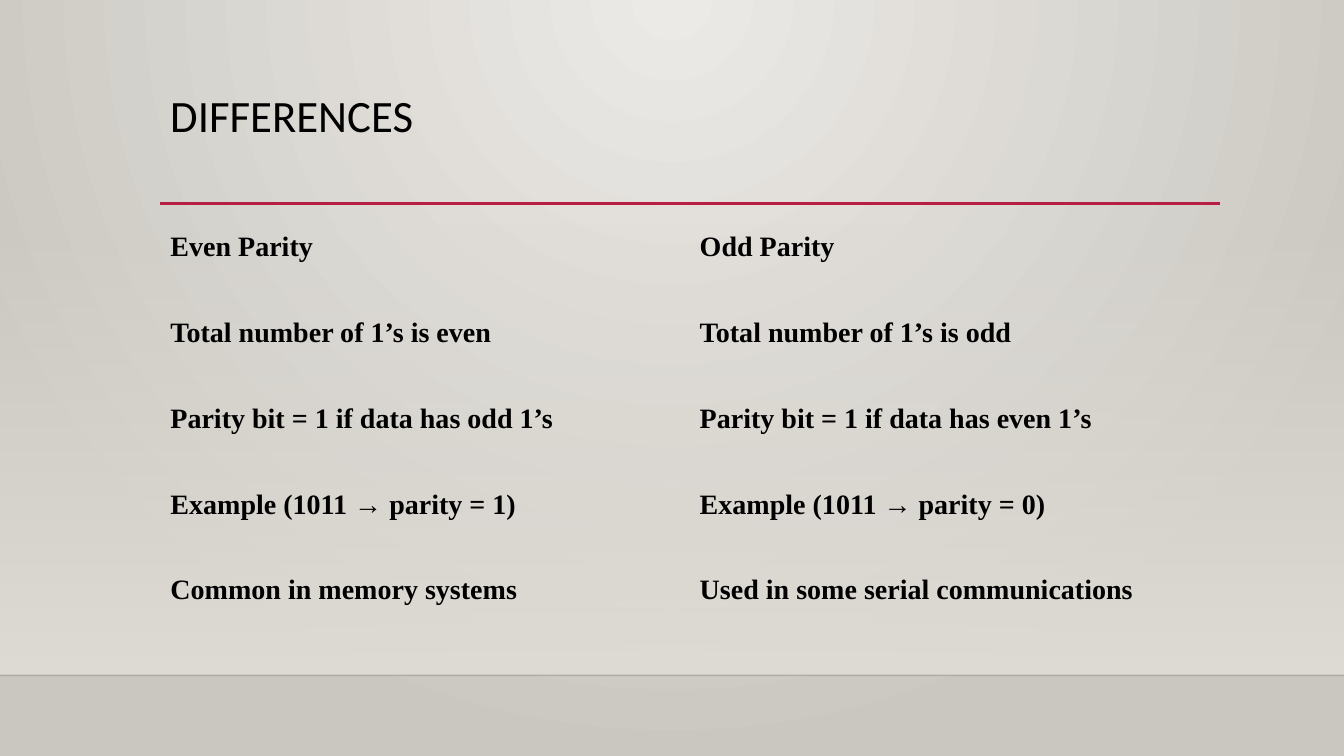
"""Build the slide that compares even and odd parity."""
from lxml import etree
from pptx import Presentation
from pptx import util as u
from pptx.dml.color import RGBColor
from pptx.enum import shapes, text
from pptx.oxml.ns import qn

HUES = {"ink": "000000", "edge": "000001", "rule": "B71E42",
        "light": "ECEAE7", "dark": "CAC7C1", "wall": "DFDBD5"}
PLAIN = "{2D5ABB26-0587-4C30-8999-92F81FD0307C}"
ROWS = [
    ("Even Parity", "Odd Parity"),
    ("Total number of 1’s is even", "Total number of 1’s is odd"),
    ("Parity bit = 1 if data has odd 1’s", "Parity bit = 1 if data has even 1’s"),
    ("Example (1011 → parity = 1)", "Example (1011 → parity = 0)"),
    ("Common in memory systems", "Used in some serial communications"),
]


def write(frame, words, font, size, bold=False, space=None):
    para = frame.paragraphs[0]
    para.line_spacing = space
    run = para.add_run()
    run.text = words
    run.font.name = font
    run.font.size = u.Pt(size)
    run.font.bold = bold
    run.font.color.rgb = RGBColor.from_string(HUES["ink"])


def blend(fill, first, last):
    fill.gradient()
    for stop, hue, spot in zip(fill.gradient_stops, (first, last), (0, 1)):
        stop.color.rgb = RGBColor.from_string(HUES[hue])
        stop.position = spot


deck = Presentation()
deck.slide_width, deck.slide_height = u.Inches(13.33), u.Inches(7.5)
slide = deck.slides.add_slide(deck.slide_layouts[6])

blend(slide.background.fill, "light", "dark")
grad = next(slide._element.iter(qn("a:gradFill")))
for lin in grad.findall(qn("a:lin")):
    grad.remove(lin)
ring = etree.SubElement(grad, qn("a:path"), path="circle")
etree.SubElement(ring, qn("a:fillToRect"), l="43000", t="0", r="43000", b="100000")

wall = slide.shapes.add_shape(shapes.MSO_SHAPE.RECTANGLE, 0, u.Inches(2.21),
                              u.Inches(13.33), u.Inches(4.49))
wall.shadow.inherit = False
wall.line.fill.background()
blend(wall.fill, "wall", "wall")
wall.fill.gradient_angle = 270
clear = next(wall._element.iter(qn("a:srgbClr")))
etree.SubElement(clear, qn("a:alpha"), val="0")

for left, right, top, hue, width, alpha in [(0, 13.33, 6.7, "edge", 1, 20),
                                            (1.59, 12.1, 2.02, "rule", 2.5, 100)]:
    line = slide.shapes.add_connector(shapes.MSO_CONNECTOR.STRAIGHT, u.Inches(left),
                                      u.Inches(top), u.Inches(right), u.Inches(top))
    line.line.width = u.Pt(width)
    line.line.color.rgb = RGBColor.from_string(HUES[hue])
    tint = next(line._element.iter(qn("a:srgbClr")))
    etree.SubElement(tint, qn("a:alpha"), val=str(alpha * 1000))
    etree.SubElement(line._element.spPr, qn("a:effectLst"))

title = slide.shapes.add_textbox(u.Inches(1.59), u.Inches(0.88),
                                 u.Inches(10.5), u.Inches(1.15)).text_frame
title.word_wrap = True
title.vertical_anchor = text.MSO_ANCHOR.TOP
write(title, "DIFFERENCES", font="Calibri", size=32, space=0.9)

grid = slide.shapes.add_table(len(ROWS), 2, u.Inches(1.59), u.Inches(2.03),
                              u.Inches(10.5), u.Inches(4.25)).table
grid.first_row = grid.horz_banding = False
next(grid._tbl.iter(qn("a:tableStyleId"))).text = PLAIN
for r, row in enumerate(ROWS):
    for c, words in enumerate(row):
        cell = grid.cell(r, c)
        cell.fill.background()
        cell.vertical_anchor = text.MSO_ANCHOR.MIDDLE
        write(cell.text_frame, words, font="Times New Roman", size=20, bold=True)

deck.save("out.pptx")
